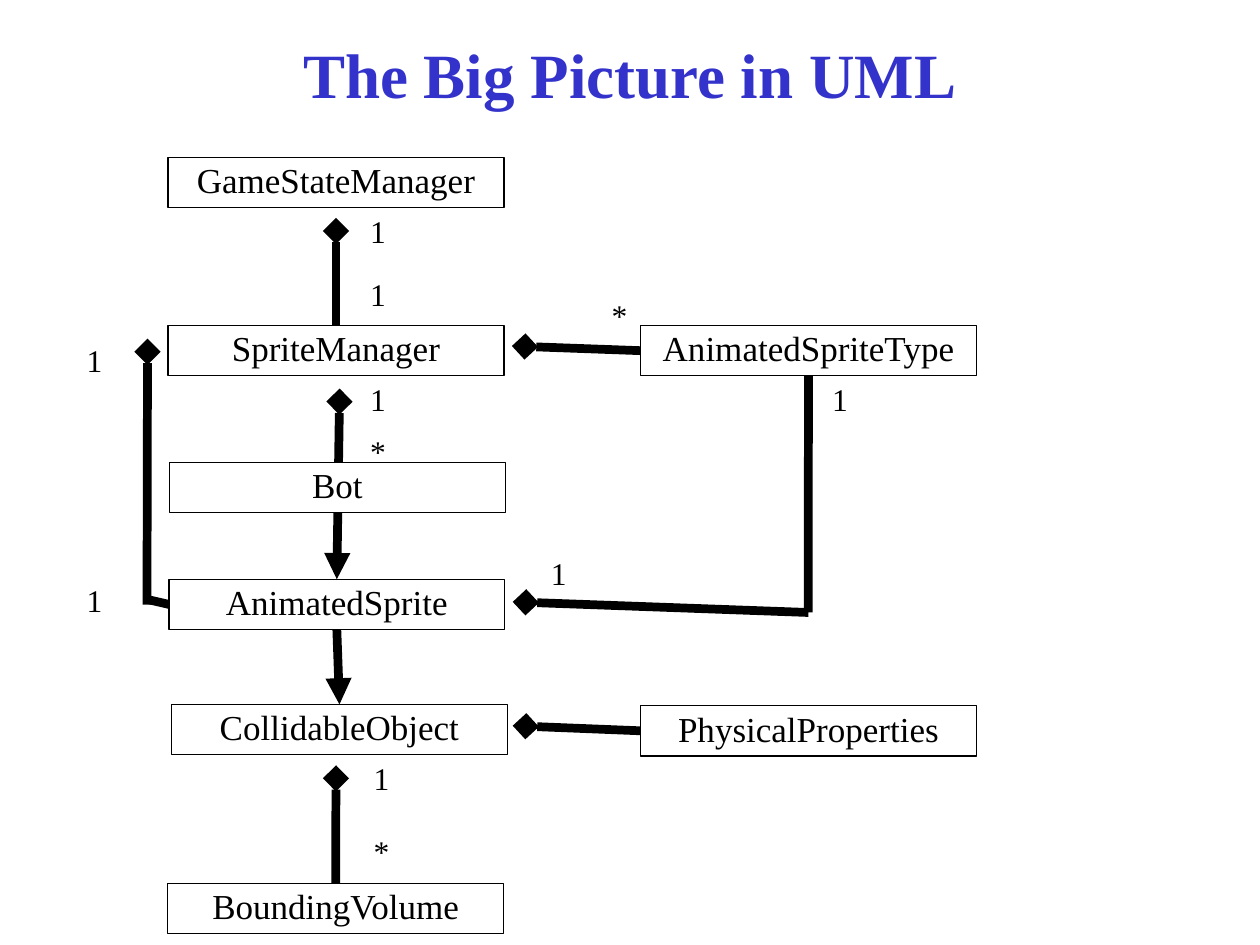
from pptx import Presentation
from pptx import util as u
from pptx.dml.color import RGBColor
from pptx.enum import shapes, text
from pptx.oxml.ns import qn
from lxml import etree

BLACK = RGBColor(0, 0, 0)
WHITE = RGBColor(255, 255, 255)
BLUE = RGBColor(0x33, 0x33, 0xCC)
FONT = "Times New Roman"
WIDE, HIGH = 192, 28.8
TOP, LEFT, BOTTOM = 0, 1, 2

BOXES = {
    "AnimatedSprite": (96.5, 331),
    "CollidableObject": (98, 402.5),
    "AnimatedSpriteType": (366, 186),
    "SpriteManager": (96, 186),
    "GameStateManager": (96, 90),
    "PhysicalProperties": (366, 403.2),
    "BoundingVolume": (95.8, 504.7),
}

LINKS = [
    ("SpriteManager", TOP, (192, 132)),
    ("AnimatedSpriteType", LEFT, (300, 198)),
    ("PhysicalProperties", LEFT, (300.5, 415)),
    ("BoundingVolume", TOP, (192, 444.8)),
]

LABELS = [
    ("1", 204, 120), ("1", 204, 156), ("1", 204, 216), ("*", 204, 246),
    ("1", 206, 432.7), ("*", 206, 474.5), ("*", 342, 168),
    ("1", 307.3, 315.5), ("1", 468, 216),
    ("1", 42, 193.7), ("1", 42, 330.7),
]


def write(shape, words, size, color=BLACK, bold=False):
    frame = shape.text_frame
    frame.word_wrap = True
    frame.vertical_anchor = text.MSO_ANCHOR.TOP
    frame.text = words
    para = frame.paragraphs[0]
    para.alignment = text.PP_ALIGN.CENTER
    para.font.name = FONT
    para.font.size = u.Pt(size)
    para.font.bold = bold
    para.font.color.rgb = color
    return frame, para


def fit(frame, para, gap):
    para.line_spacing = 0.9
    para.space_before = u.Pt(gap)
    frame.auto_size = text.MSO_AUTO_SIZE.SHAPE_TO_FIT_TEXT


def title(slide, words):
    area = slide.shapes.add_textbox(u.Pt(12), u.Pt(18), u.Pt(696), u.Pt(48))
    frame, _ = write(area, words, 36, BLUE, True)
    frame.vertical_anchor = text.MSO_ANCHOR.MIDDLE


def box(slide, name, x, y, fill=None):
    rect = slide.shapes.add_shape(
        shapes.MSO_SHAPE.RECTANGLE, u.Pt(x), u.Pt(y), u.Pt(WIDE), u.Pt(HIGH))
    rect.shadow.inherit = False
    if fill is None:
        rect.fill.background()
    else:
        rect.fill.solid()
        rect.fill.fore_color.rgb = fill
    rect.line.color.rgb = BLACK
    rect.line.width = u.Pt(0.75)
    fit(*write(rect, name, 20), 5)
    return rect


def label(slide, words, x, y):
    area = slide.shapes.add_textbox(u.Pt(x), u.Pt(y), u.Pt(24), u.Pt(26.6))
    fit(*write(area, words, 18), 4.5)


def link(slide, start, end, head=None, tail=None):
    line = slide.shapes.add_connector(
        shapes.MSO_CONNECTOR.STRAIGHT, *(u.Pt(n) for n in (*start, *end)))
    line.line.color.rgb = BLACK
    line.line.width = u.Pt(5)
    stroke = line.line._get_or_add_ln()
    for tag, kind in (("a:headEnd", head), ("a:tailEnd", tail)):
        if kind:
            etree.SubElement(stroke, qn(tag), type=kind)
    etree.SubElement(line._element.spPr, qn("a:effectLst"))
    return line


def main():
    deck = Presentation()
    deck.slide_width, deck.slide_height = u.Pt(720), u.Pt(540)
    slide = deck.slides.add_slide(deck.slide_layouts[6])
    title(slide, "The Big Picture in UML")
    rects = {name: box(slide, name, *spot) for name, spot in BOXES.items()}
    sprite = rects["AnimatedSprite"]

    for name, side, end in LINKS:
        link(slide, end, end, tail="diamond").begin_connect(rects[name], side)

    bots = link(slide, (192, 331), (194, 229.5), "triangle", "diamond")
    bots.begin_connect(sprite, TOP)
    link(slide, (462, 350), (300.5, 344.2), tail="diamond")
    kind = link(slide, (461.8, 350), (462, 215))
    kind.end_connect(rects["AnimatedSpriteType"], BOTTOM)
    parent = link(slide, (192, 360), (194, 402), tail="triangle")
    parent.begin_connect(sprite, BOTTOM)
    parent.end_connect(rects["CollidableObject"], TOP)

    for item in LABELS:
        label(slide, *item)
    box(slide, "Bot", 96.8, 264.3, WHITE)

    link(slide, (84, 345.5), (84.3, 201), tail="diamond")
    link(slide, (96, 345), (84, 342.5)).begin_connect(sprite, LEFT)
    deck.save("out.pptx")


if __name__ == "__main__":
    main()
